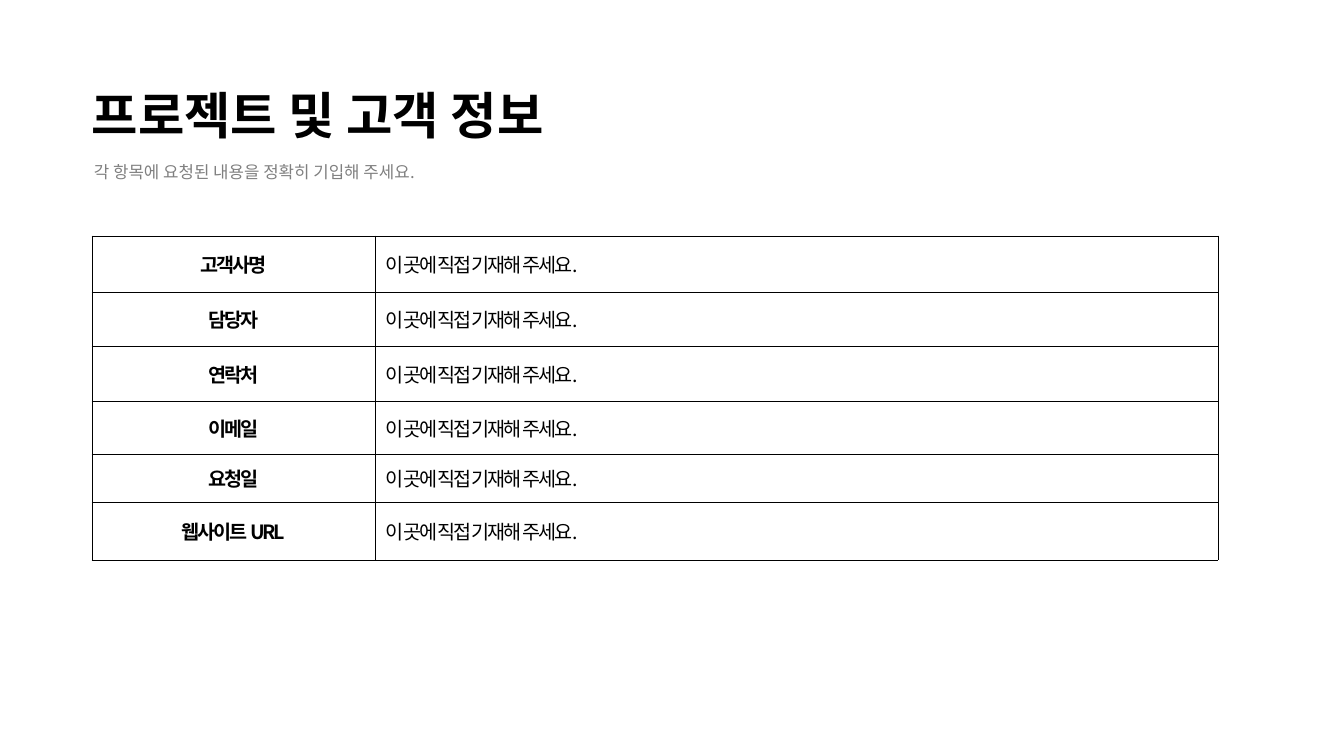
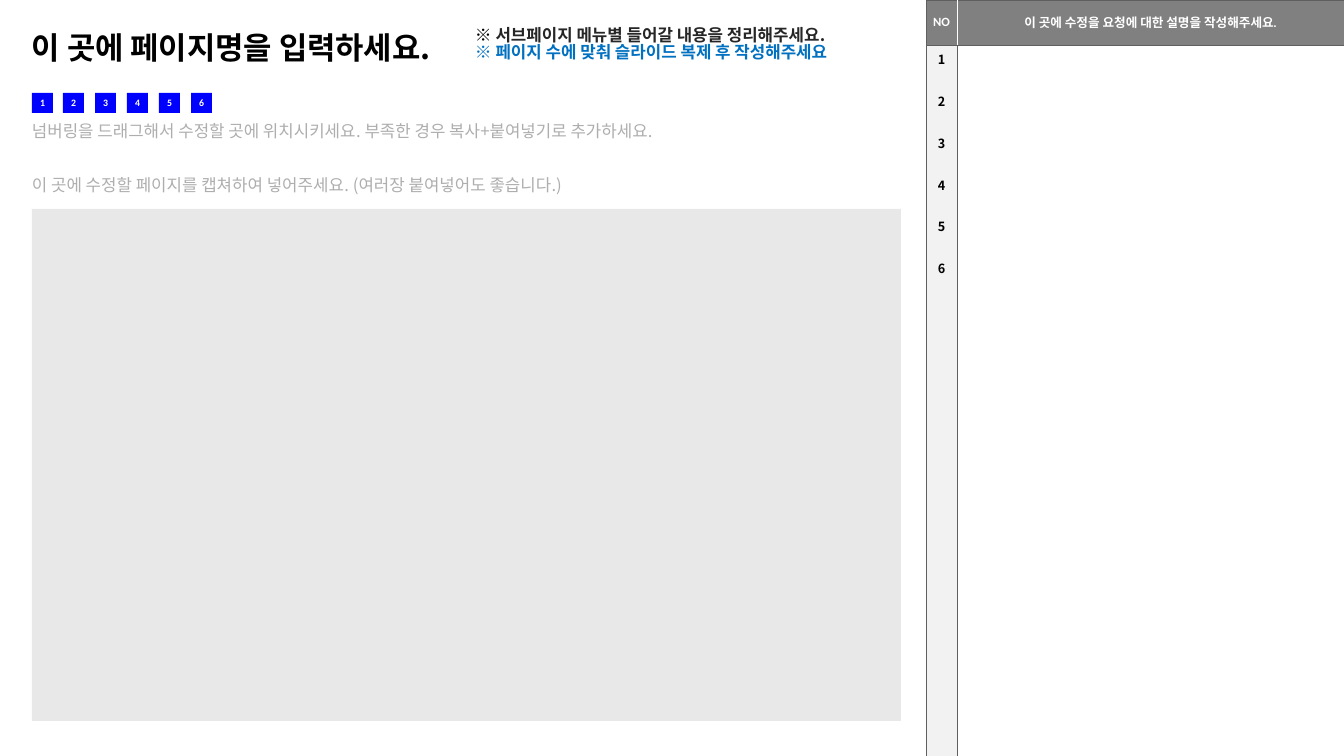
"""Builds a client information form and a page revision request form."""
from lxml.etree import SubElement
from pptx import Presentation
from pptx.dml.color import RGBColor
from pptx.enum.shapes import MSO_SHAPE
from pptx.enum.text import MSO_ANCHOR, PP_ALIGN
from pptx.oxml import parse_xml
from pptx.oxml.ns import nsdecls, qn
from pptx.util import Pt

PX = 9071
KOREAN = "Noto Sans CJK KR"
LATIN = "Calibri"
BLACK = RGBColor(0x00, 0x00, 0x00)
WHITE = RGBColor(0xFF, 0xFF, 0xFF)
CHARCOAL = RGBColor(0x26, 0x26, 0x26)
RULE = RGBColor(0x5F, 0x5F, 0x5F)
GREY = RGBColor(0x80, 0x80, 0x80)
HINT = RGBColor(0xAE, 0xAE, 0xAE)
CAPTURE = RGBColor(0xE8, 0xE8, 0xE8)
NUMBER_BAND = RGBColor(0xF2, 0xF2, 0xF2)
SKY = RGBColor(0x00, 0x70, 0xC0)
BLUE = RGBColor(0x00, 0x00, 0xFF)


def write(paragraph, text, size, color, bold=False, name=KOREAN, align=PP_ALIGN.LEFT, tracking=0):
    paragraph.add_run().text = text
    paragraph.alignment = align
    font = paragraph.font
    font.size, font.bold, font.name = Pt(size), bold, name
    font.color.rgb = color
    properties = paragraph._p.pPr.find(qn("a:defRPr"))
    SubElement(properties, qn("a:ea")).set("typeface", KOREAN)
    if tracking:
        properties.set("spc", str(tracking))


def outline(cell, color, points, **special):
    for position, side in enumerate("LRTB"):
        side_color, side_points = special.get(side, (color, points))
        cell._tc.get_or_add_tcPr().insert(position, parse_xml(
            f'<a:ln{side} {nsdecls("a")} w="{int(Pt(side_points))}"><a:solidFill>'
            f'<a:srgbClr val="{side_color}"/></a:solidFill></a:ln{side}>'))


deck = Presentation()
deck.slide_width, deck.slide_height = 1344 * PX, 756 * PX
client = deck.slides.add_slide(deck.slide_layouts[6])
revision = deck.slides.add_slide(deck.slide_layouts[6])

for slide, left, top, width, height, text, size, color, bold, spacing in (
    (client, 82, 79, 491, 72, "프로젝트 및 고객 정보", 36, BLACK, True, 1.0),
    (client, 84, 157, 491, 30, "각 항목에 요청된 내용을 정확히 기입해 주세요.", 12, GREY, False, 1.0),
    (revision, 22, 27, 858, 46, "이 곳에 페이지명을 입력하세요.", 22, BLACK, True, 0.9),
    (revision, 22, 109, 858, 46,
     "넘버링을 드래그해서 수정할 곳에 위치시키세요. 부족한 경우 복사+붙여넣기로 추가하세요.",
     12, HINT, False, 0.9),
    (revision, 22, 163, 858, 46,
     "이 곳에 수정할 페이지를 캡쳐하여 넣어주세요. (여러장 붙여넣어도 좋습니다.)",
     12, HINT, False, 0.9),
):
    frame = slide.shapes.add_textbox(left * PX, top * PX, width * PX, height * PX).text_frame
    frame.word_wrap = True
    frame.vertical_anchor = MSO_ANCHOR.TOP if slide is client else MSO_ANCHOR.MIDDLE
    write(frame.paragraphs[0], text, size, color, bold)
    frame.paragraphs[0].line_spacing = spacing

fields = (("고객사명", 56), ("담당자", 54), ("연락처", 55),
          ("이메일", 53), ("요청일", 48), ("웹사이트 URL", 58))
client_form = client.shapes.add_table(len(fields), 2, 92 * PX, 236 * PX, 1126 * PX, 324 * PX).table
client_form.first_row = client_form.horz_banding = False
client_form.columns[0].width, client_form.columns[1].width = 283 * PX, 843 * PX
for row, (field, height) in enumerate(fields):
    client_form.rows[row].height = height * PX
    label, answer = client_form.cell(row, 0), client_form.cell(row, 1)
    write(label.text_frame.paragraphs[0], field, 14, BLACK, True,
          align=PP_ALIGN.CENTER, tracking=-150)
    write(answer.text_frame.paragraphs[0], "이 곳에 직접 기재해 주세요.", 14, BLACK, tracking=-150)
    label.fill.background()
    answer.fill.solid()
    answer.fill.fore_color.rgb = WHITE
    for cell in (label, answer):
        cell.vertical_anchor = MSO_ANCHOR.MIDDLE
        outline(cell, BLACK, 0.5)

notice = revision.shapes.add_textbox(465 * PX, 22 * PX, 858 * PX, 46 * PX).text_frame
notice.word_wrap = True
notice.vertical_anchor = MSO_ANCHOR.MIDDLE
menu_note, copy_note = notice.paragraphs[0], notice.add_paragraph()
write(menu_note, "※ ", 12, BLACK, True)
menu_text = menu_note.add_run()
menu_text.text = "서브페이지 메뉴별 들어갈 내용을 정리해주세요."
menu_text.font.color.rgb = CHARCOAL
write(copy_note, "※ 페이지 수에 맞춰 슬라이드 복제 후 작성해주세요", 12, SKY, True)
menu_note.line_spacing = copy_note.line_spacing = 0.82

requests = revision.shapes.add_table(2, 2, 926 * PX, 0, 418 * PX, 756 * PX).table
requests.horz_banding = False
requests.columns[0].width, requests.columns[1].width = 31 * PX, 387 * PX
requests.rows[0].height, requests.rows[1].height = 45 * PX, 711 * PX
for row, column, fill, inset, divider in (
    (0, 0, GREY, 4, {"R": (WHITE, 0.5)}),
    (0, 1, GREY, 4, {"L": (WHITE, 0.5)}),
    (1, 0, NUMBER_BAND, 5, {}),
    (1, 1, WHITE, 5, {}),
):
    cell = requests.cell(row, column)
    cell.fill.solid()
    cell.fill.fore_color.rgb = fill
    cell.margin_left = cell.margin_right = cell.margin_top = cell.margin_bottom = inset * PX
    outline(cell, RULE, 0.25, **divider)
for column, heading in enumerate(("NO", "이 곳에 수정을 요청에 대한 설명을 작성해주세요.")):
    cell = requests.cell(0, column)
    cell.vertical_anchor = MSO_ANCHOR.MIDDLE
    write(cell.text_frame.paragraphs[0], heading, 9, WHITE, True, LATIN, PP_ALIGN.CENTER)

capture_area = revision.shapes.add_shape(
    MSO_SHAPE.RECTANGLE, 32 * PX, 209 * PX, 869 * PX, 512 * PX)
capture_area.shadow.inherit = False
capture_area.fill.solid()
capture_area.fill.fore_color.rgb = CAPTURE
capture_area.line.fill.background()

numbers = requests.cell(1, 0).text_frame
for index in range(6):
    number = numbers.add_paragraph() if index else numbers.paragraphs[0]
    write(number, str(index + 1), 9, BLACK, True, align=PP_ALIGN.CENTER)
    if index:
        number.space_before = Pt(16.8)

    marker = revision.shapes.add_shape(
        MSO_SHAPE.RECTANGLE, (32 + 159 * index // 5) * PX, 93 * PX, 21 * PX, 20 * PX)
    marker.shadow.inherit = False
    marker.fill.solid()
    marker.fill.fore_color.rgb = BLUE
    marker.line.fill.background()
    frame = marker.text_frame
    frame.word_wrap = False
    frame.vertical_anchor = MSO_ANCHOR.MIDDLE
    frame.margin_left = frame.margin_right = frame.margin_top = frame.margin_bottom = 0
    write(frame.paragraphs[0], str(index + 1), 7, WHITE, True, LATIN, PP_ALIGN.CENTER)

deck.save("out.pptx")
